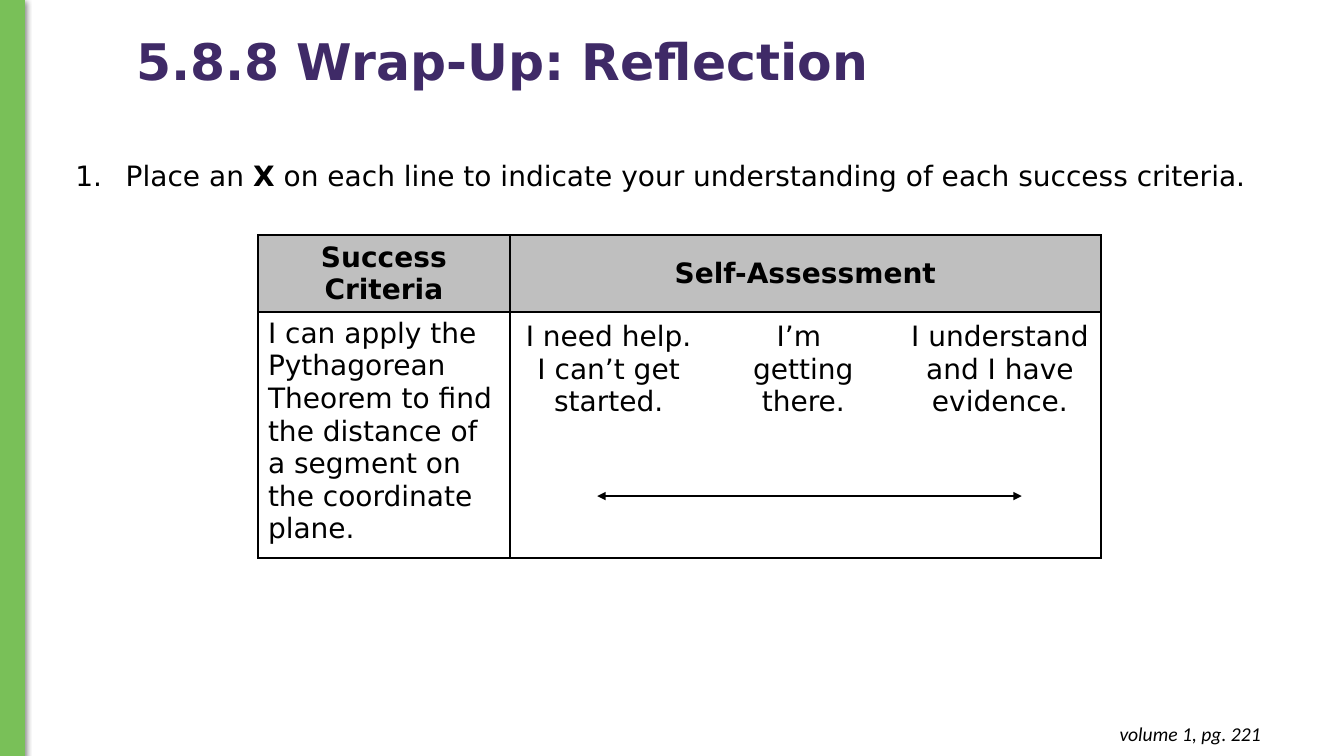
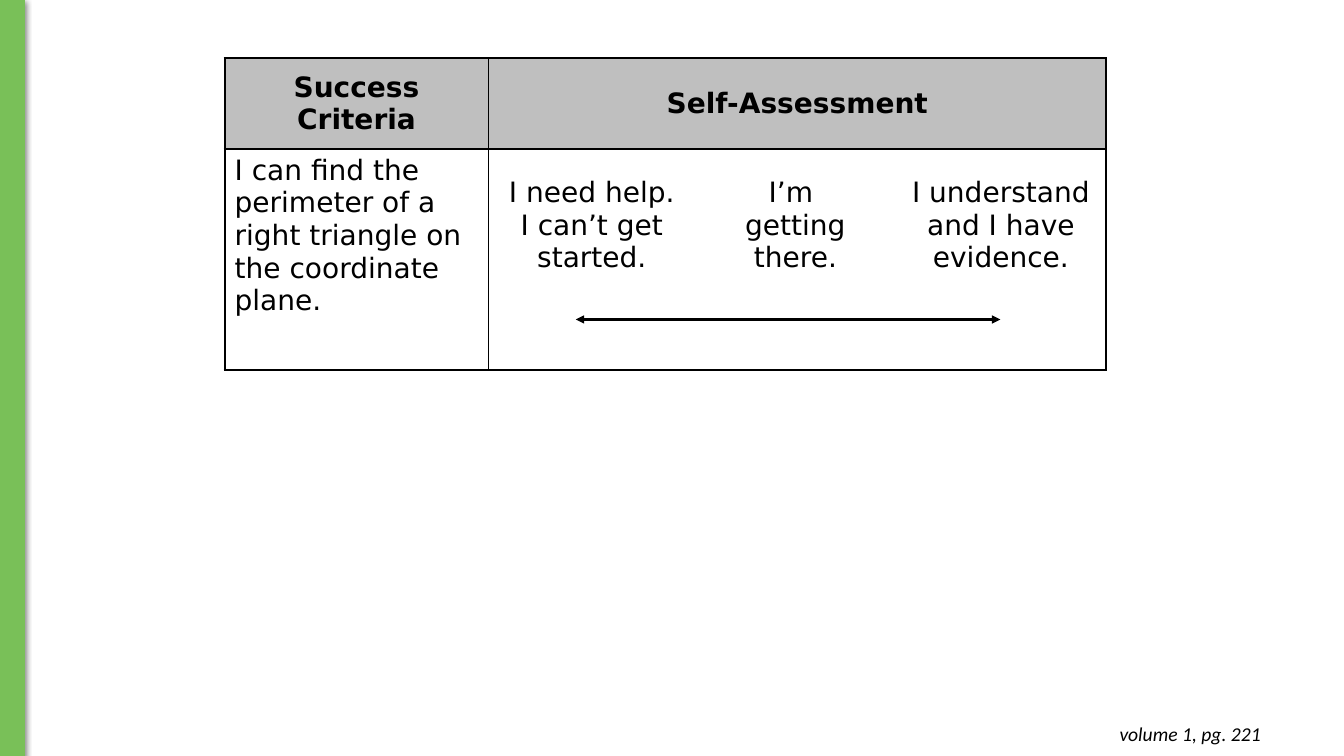
from lxml.etree import SubElement
from pptx import Presentation
from pptx.dml.color import RGBColor
from pptx.enum.shapes import MSO_CONNECTOR as Connector, MSO_SHAPE as Shape
from pptx.enum.text import MSO_ANCHOR as Anchor, PP_ALIGN as Align
from pptx.oxml import parse_xml
from pptx.oxml.ns import nsdecls, qn
from pptx.util import Cm, Pt

BLACK = RGBColor(0x00, 0x00, 0x00)
PURPLE = RGBColor(0x3F, 0x2A, 0x67)
GREEN = RGBColor(0x79, 0xC0, 0x58)
GREY = RGBColor(0xBF, 0xBF, 0xBF)

BODY = {"name": "DejaVu Sans", "size": Pt(20), "bold": False, "color": BLACK}
STRONG = {**BODY, "bold": True}
TITLE = {**STRONG, "size": Pt(36), "color": PURPLE}
FOOTER = {"name": "Calibri", "size": Pt(14), "italic": True, "color": BLACK}

BORDER = Pt(1.5)
# First row, first column, last row, last column of each bordered region
REGIONS = [(0, 0, 0, 0), (0, 1, 0, 3), (1, 0, 2, 0), (1, 1, 2, 3)]
RATINGS = [
    ["I need help.", "I can’t get started."],
    ["I’m \vgetting there."],
    ["I understand and I have evidence."],
]


def apply_format(font, values):
    for name, value in values.items():
        if name == "color":
            font.color.rgb = value
        else:
            setattr(font, name, value)


def write_paragraph(paragraph, text, values, align=Align.LEFT):
    paragraph.text = text
    paragraph.alignment = align
    for run in paragraph.runs:
        apply_format(run.font, values)


def add_text_box(slide, left, top, width, height):
    frame = slide.shapes.add_textbox(Cm(left), Cm(top), Cm(width), Cm(height)).text_frame
    frame.word_wrap = True
    return frame


def add_side_band(slide):
    band = slide.shapes.add_shape(Shape.RECTANGLE, Cm(0), Cm(0), Cm(0.62), Cm(19.05))
    band.fill.solid()
    band.fill.fore_color.rgb = GREEN
    band.line.color.rgb = GREEN
    band.line.width = Pt(0.75)
    band.shadow.inherit = False
    effects = band._element.spPr.find(qn("a:effectLst"))
    effects.append(parse_xml(
        f'<a:outerShdw {nsdecls("a")} blurRad="{Pt(4.5)}" dist="{Pt(1.5)}" dir="5400000"'
        ' algn="ctr" rotWithShape="0"><a:srgbClr val="000000"><a:alpha val="50000"/>'
        '</a:srgbClr></a:outerShdw>'))


def add_footer(slide, text):
    frame = add_text_box(slide, 24.71, 17.93, 7.32, 1.12)
    frame.margin_top = frame.margin_bottom = Cm(0.25)
    write_paragraph(frame.paragraphs[0], text, FOOTER, Align.RIGHT)


def add_title(slide, text):
    frame = add_text_box(slide, 3.18, 0.79, 29.64, 1.65)
    frame.vertical_anchor = Anchor.MIDDLE
    write_paragraph(frame.paragraphs[0], text, TITLE)
    frame.paragraphs[0].line_spacing = 0.9


def add_instruction(slide, runs):
    paragraph = add_text_box(slide, 1.65, 3.86, 30.58, 1.12).paragraphs[0]
    properties = paragraph._p.get_or_add_pPr()
    properties.set("marL", str(Cm(1.27)))
    properties.set("indent", str(-Cm(1.27)))
    color = SubElement(properties, qn("a:buClr"))
    SubElement(color, qn("a:srgbClr"), val=str(BLACK))
    SubElement(properties, qn("a:buAutoNum"), type="arabicPeriod")
    for text, values in runs:
        run = paragraph.add_run()
        run.text = text
        apply_format(run.font, values)


def fill_cell(cell, paragraphs, values, align, anchor):
    cell.vertical_anchor = anchor
    frame = cell.text_frame
    for index, text in enumerate(paragraphs):
        paragraph = frame.add_paragraph() if index else frame.paragraphs[0]
        write_paragraph(paragraph, text, values, align)


def set_borders(cell, sides):
    """Draw the sides marked true and clear the others."""
    properties = cell._tc.get_or_add_tcPr()
    for index, (side, visible) in enumerate(sides.items()):
        fill = f'<a:solidFill><a:srgbClr val="{BLACK}"/></a:solidFill>' if visible else "<a:noFill/>"
        properties.insert(index, parse_xml(
            f'<a:ln{side} {nsdecls("a")} w="{BORDER}">{fill}</a:ln{side}>'))


def outline_region(table, first_row, first_column, last_row, last_column):
    for row in range(first_row, last_row + 1):
        for column in range(first_column, last_column + 1):
            cell = table.cell(row, column)
            set_borders(cell, {
                "L": column == first_column,
                "R": column + cell.span_width - 1 == last_column,
                "T": row == first_row,
                "B": row + cell.span_height - 1 == last_row,
            })


def add_scale_arrow(slide, left, top):
    arrow = slide.shapes.add_connector(
        Connector.STRAIGHT, left, top, left + Cm(10.7), top)
    arrow.line.color.rgb = BLACK
    arrow.line.width = Pt(2)
    line = arrow.line._get_or_add_ln()
    for end in ("headEnd", "tailEnd"):
        SubElement(line, qn(f"a:{end}"), type="triangle")
    SubElement(arrow._element.spPr, qn("a:effectLst"))


def add_assessment(slide, left, top, widths, heights, criterion):
    """Place the criteria table and the scale arrow under its ratings."""
    table = slide.shapes.add_table(
        len(heights), len(widths), Cm(left), Cm(top), Cm(sum(widths)), Cm(sum(heights))).table
    table.first_row = table.horz_banding = False
    for column, width in zip(table.columns, widths):
        column.width = Cm(width)
    for row, height in zip(table.rows, heights):
        row.height = Cm(height)

    for start, end in [((0, 1), (0, 3)), ((1, 0), (2, 0)), ((2, 1), (2, 3))]:
        table.cell(*start).merge(table.cell(*end))
    for cell in table.iter_cells():
        cell.fill.background()
    for column in range(len(widths)):
        header = table.cell(0, column)
        header.fill.solid()
        header.fill.fore_color.rgb = GREY

    for column, text in enumerate(["Success\vCriteria", "Self-Assessment"]):
        fill_cell(table.cell(0, column), [text], STRONG, Align.CENTER, Anchor.MIDDLE)
    fill_cell(table.cell(1, 0), [criterion], BODY, Align.LEFT, Anchor.TOP)
    for column, rating in enumerate(RATINGS, start=1):
        fill_cell(table.cell(1, column), rating, BODY, Align.CENTER, Anchor.BOTTOM)
    for region in REGIONS:
        outline_region(table, *region)

    add_scale_arrow(slide, Cm(left + widths[0] + 2.2), Cm(top + 6.58))


def add_base_slide(presentation):
    slide = presentation.slides.add_slide(presentation.slide_layouts[6])
    add_side_band(slide)
    add_footer(slide, "volume 1, pg. 221")
    return slide


def main():
    presentation = Presentation()
    presentation.slide_width = Cm(33.87)
    presentation.slide_height = Cm(19.05)

    slide = add_base_slide(presentation)
    add_title(slide, "5.8.8 Wrap-Up: Reflection")
    add_instruction(slide, [
        ("Place an ", BODY),
        ("X", STRONG),
        (" on each line to indicate your understanding of each success criteria.", BODY),
    ])
    add_assessment(
        slide, 6.5, 5.92, [6.35, 4.98, 4.83, 5.08], [1.9, 2.75, 3.23],
        "I can apply the Pythagorean Theorem to find the distance of a segment "
        "on the coordinate plane.")

    slide = add_base_slide(presentation)
    add_assessment(
        slide, 5.66, 1.47, [6.65, 5.21, 5.05, 5.31], [2.29, 3.28, 2.29],
        "I can find the perimeter of a right triangle on the coordinate plane.")

    presentation.save("out.pptx")


if __name__ == "__main__":
    main()
